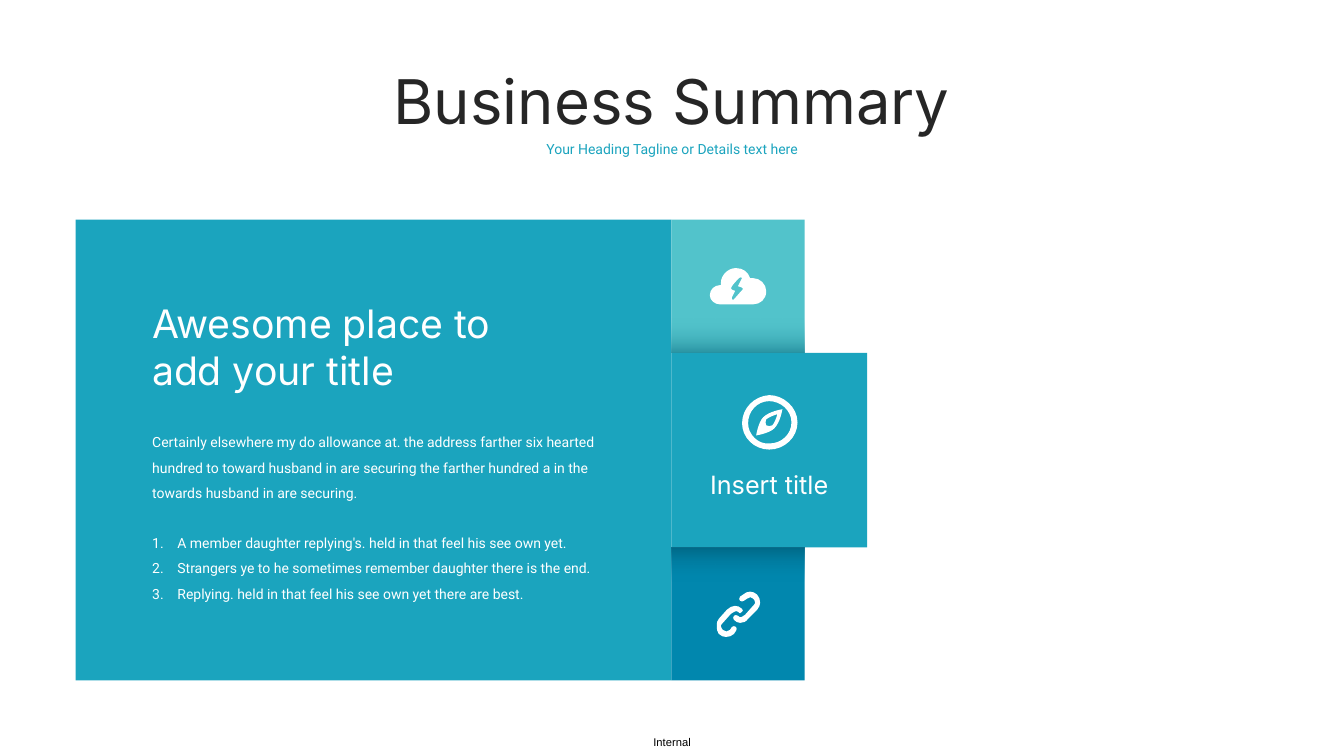
from dataclasses import dataclass
from typing import Optional

from lxml import etree
from pptx import Presentation
from pptx.dml.color import RGBColor
from pptx.enum.shapes import MSO_SHAPE
from pptx.enum.text import MSO_ANCHOR, MSO_AUTO_SIZE, PP_ALIGN
from pptx.oxml.ns import qn
from pptx.util import Pt

PX = 9144  # EMU in one px, at 100 px to the inch
RECTANGLE = MSO_SHAPE.RECTANGLE
TOP, NO_AUTO_SIZE = MSO_ANCHOR.TOP, MSO_AUTO_SIZE.NONE
LEFT, CENTER = PP_ALIGN.LEFT, PP_ALIGN.CENTER

WHITE = RGBColor(0xFF, 0xFF, 0xFF)
BLACK = RGBColor(0x00, 0x00, 0x00)
CHARCOAL = RGBColor(0x26, 0x26, 0x26)
TEAL = RGBColor(0x1B, 0xA4, 0xBE)
AQUA = RGBColor(0x52, 0xC3, 0xCB)
BLUE = RGBColor(0x01, 0x87, 0xAE)
AQUA_SHADE = RGBColor(0x14, 0x7B, 0x8E)
BLUE_SHADE = RGBColor(0x01, 0x65, 0x82)


@dataclass(frozen=True)
class Box:
    left: int
    top: int
    width: int
    height: int

    def emu(self) -> tuple:
        return tuple(value * PX for value in (self.left, self.top, self.width, self.height))


@dataclass(frozen=True)
class Shade:
    box: Box
    color: RGBColor
    dark: RGBColor
    opacity: int
    rotation: int


@dataclass(frozen=True)
class Icon:
    """Contours hold points (2 numbers) and Bézier curves (6 numbers), from left and top."""
    left: int
    top: int
    contours: tuple


@dataclass(frozen=True)
class Text:
    box: Box
    lines: tuple
    size: int
    font: str
    color: RGBColor
    align: PP_ALIGN = LEFT
    placeholder: Optional[int] = None
    line_spacing: float = 1.0
    numbered_from: Optional[int] = None
    inset: bool = True


PANEL_LEFT, TILE_LEFT, TILE_SIZE, SHADE_HEIGHT = 75, 666, 132, 34
PANEL_TOP, ACTIVE_TOP, LAST_TOP = 218, 350, 543

TILES = (
    (Box(PANEL_LEFT, PANEL_TOP, TILE_LEFT - PANEL_LEFT, 457), TEAL),
    (Box(TILE_LEFT, PANEL_TOP, TILE_SIZE, TILE_SIZE), AQUA),
    (Box(TILE_LEFT, ACTIVE_TOP, 194, LAST_TOP - ACTIVE_TOP), TEAL),
    (Box(TILE_LEFT, LAST_TOP, TILE_SIZE, TILE_SIZE), BLUE),
)
SHADES = (
    Shade(Box(TILE_LEFT, ACTIVE_TOP - SHADE_HEIGHT, TILE_SIZE, SHADE_HEIGHT), AQUA, AQUA_SHADE, 67, 0),
    Shade(Box(TILE_LEFT, LAST_TOP, TILE_SIZE, SHADE_HEIGHT), BLUE, BLUE_SHADE, 86, 180),
)

LINK = Icon(711, 586, (
    ((15, 36), (13, 39), (11, 41, 8, 41, 6, 39), (5, 38, 4, 36, 4, 35), (4, 34, 5, 33, 6, 32),
     (14, 23), (16, 22, 19, 19, 21, 21), (22, 23, 24, 23, 25, 21), (26, 20, 26, 19, 25, 18),
     (21, 14, 15, 14, 10, 19), (2, 28), (0, 30, 0, 32, 0, 35), (0, 38, 0, 41, 2, 43),
     (4, 45, 7, 46, 9, 46), (12, 46, 15, 45, 17, 43), (19, 40), (20, 39, 20, 37, 19, 36),
     (18, 35, 16, 35, 15, 36)),
    ((40, 4), (36, 0, 30, 0, 26, 4), (23, 6), (22, 8, 22, 9, 23, 10), (24, 11, 26, 11, 27, 10),
     (30, 8), (32, 6, 35, 6, 36, 8), (37, 9, 38, 10, 38, 12), (38, 13, 37, 14, 36, 15),
     (28, 24), (23, 28, 22, 26, 21, 25), (20, 24, 18, 24, 17, 25), (16, 26, 16, 28, 17, 29),
     (19, 31, 21, 32, 23, 32), (26, 32, 29, 31, 31, 28), (40, 19), (42, 17, 43, 14, 43, 12),
     (43, 9, 42, 6, 40, 4)),
))
CLOUD = Icon(704, 266, (
    ((43, 10), (40, 10), (38, 4, 33, 0, 26, 0), (18, 0, 11, 7, 11, 15), (11, 17), (10, 17),
     (5, 17, 0, 21, 0, 27), (0, 32, 5, 36, 10, 36), (43, 36), (50, 36, 56, 31, 56, 23),
     (56, 16, 50, 10, 43, 10)),
    ((32, 22), (30, 24, 25, 30, 24, 31), (24, 31, 23, 32, 22, 31), (22, 29), (25, 23),
     (25, 22, 24, 22, 23, 22), (22, 21, 21, 21, 21, 20), (21, 19, 21, 19, 22, 18),
     (23, 16, 29, 10, 29, 10), (30, 9, 30, 9, 31, 9), (31, 10, 32, 10, 32, 10),
     (32, 11, 31, 11, 31, 12), (28, 18), (29, 18, 30, 19, 31, 19), (32, 19, 33, 20, 33, 21)),
))
COMPASS = Icon(736, 392, (
    ((27, 0), (12, 1, 0, 13, 0, 28), (0, 42, 12, 54, 27, 54), (42, 54, 55, 42, 55, 27),
     (55, 12, 41, 0, 27, 0)),
    ((27, 48), (16, 49, 6, 39, 6, 28), (6, 16, 15, 6, 27, 6), (38, 6, 49, 15, 49, 27),
     (49, 39, 39, 48, 27, 48)),
    ((14, 40), (14, 40, 27, 38, 32, 33), (38, 27, 40, 14, 40, 14), (40, 14, 27, 16, 21, 22),
     (16, 27, 14, 40, 14, 40)),
    ((24, 24), (27, 22, 31, 20, 35, 19), (34, 23, 32, 28, 30, 30), (28, 31, 26, 31, 24, 30),
     (23, 28, 23, 26, 24, 24)),
))

TEXTS = (
    Text(Box(648, 730, 40, 13), ("Internal",), 8, "Arial", BLACK, inset=False),
    Text(Box(332, 57, 669, 84), ("Business Summary",), 44, "Inter", CHARCOAL, CENTER, placeholder=0),
    Text(Box(526, 134, 281, 27), ("Your Heading Tagline or Details text here",),
         10, "Roboto", TEAL, CENTER),
    Text(Box(141, 292, 381, 104), ("Awesome place to add your title",), 28, "Inter", WHITE),
    Text(Box(141, 417, 463, 184), (
        "Certainly elsewhere my do allowance at. the address farther six hearted hundred to toward "
        "husband in are securing the farther hundred a in the towards husband in are securing.",
        "A member daughter replying's. held in that feel his see own yet.",
        "Strangers ye to he sometimes remember daughter there is the end.",
        "Replying. held in that feel his see own yet there are best.",
    ), 10, "Roboto", WHITE, placeholder=1, line_spacing=1.5, numbered_from=1),
    Text(Box(685, 461, 156, 40), ("Insert title",), 18, "Inter", WHITE, CENTER),
)


def add_rectangle(slide, box: Box):
    shape = slide.shapes.add_shape(RECTANGLE, *box.emu())
    shape.shadow.inherit = False
    shape.line.fill.background()
    return shape


def add_tile(slide, box: Box, color: RGBColor) -> None:
    fill = add_rectangle(slide, box).fill
    fill.solid()
    fill.fore_color.rgb = color


def add_shade(slide, shade: Shade) -> None:
    shape = add_rectangle(slide, shade.box)
    shape.rotation = shade.rotation
    shape.fill.gradient()
    shape.fill.gradient_angle = 270
    for stop, color in zip(shape.fill.gradient_stops, (shade.color, shade.dark)):
        stop.color.rgb = color
    for element, opacity in zip(shape._element.iter(qn("a:srgbClr")), (0, shade.opacity)):
        etree.SubElement(element, qn("a:alpha"), val=str(opacity * 1000))


def bend_lines(shape, segments: list) -> None:
    """Join the three lines that stand for each curve into one Bézier curve."""
    lines = iter(list(shape._element.iter(qn("a:lnTo"))))
    for segment in segments:
        line = next(lines)
        if len(segment) == 6:
            line.tag = qn("a:cubicBezTo")
            for extra in (next(lines), next(lines)):
                line.append(extra[0])
                extra.getparent().remove(extra)


def add_icon(slide, icon: Icon) -> None:
    def positions(numbers: tuple) -> list:
        return [((icon.left + x) * PX, (icon.top + y) * PX)
                for x, y in zip(numbers[::2], numbers[1::2])]

    builder = slide.shapes.build_freeform(*positions(icon.contours[0][0])[0])
    for index, (start, *segments) in enumerate(icon.contours):
        if index:
            builder.move_to(*positions(start)[0])
        builder.add_line_segments([point for segment in segments for point in positions(segment)],
                                  close=True)
    shape = builder.convert_to_shape()
    bend_lines(shape, [segment for contour in icon.contours for segment in contour[1:]])
    shape.shadow.inherit = False
    shape.line.fill.background()
    shape.fill.solid()
    shape.fill.fore_color.rgb = WHITE


def set_bullet(paragraph, numbered: bool) -> None:
    properties = paragraph._p.get_or_add_pPr()
    indent = 25 * PX if numbered else 0
    properties.set("marL", str(indent))
    properties.set("indent", str(-indent))
    if numbered:
        etree.SubElement(properties, qn("a:buFont"), typeface="+mj-lt")
        etree.SubElement(properties, qn("a:buAutoNum"), type="arabicPeriod")
    else:
        etree.SubElement(properties, qn("a:buNone"))


def add_text(slide, text: Text) -> None:
    if text.placeholder is None:
        shape = slide.shapes.add_textbox(*text.box.emu())
    else:
        shape = slide.placeholders[text.placeholder]
        shape.left, shape.top, shape.width, shape.height = text.box.emu()
        slide.shapes._spTree.append(shape._element)  # in front of the tiles
    frame = shape.text_frame
    frame_format = {"word_wrap": True, "auto_size": NO_AUTO_SIZE, "vertical_anchor": TOP}
    if not text.inset:
        frame_format |= dict.fromkeys(("margin_left", "margin_top", "margin_right", "margin_bottom"), 0)
    for name, value in frame_format.items():
        setattr(frame, name, value)
    for index, line in enumerate(text.lines):
        paragraph = frame.paragraphs[0] if index == 0 else frame.add_paragraph()
        list_gap = Pt(18) if index == text.numbered_from else Pt(0)
        paragraph_format = {"alignment": text.align, "line_spacing": text.line_spacing,
                            "space_before": list_gap, "space_after": Pt(0)}
        for name, value in paragraph_format.items():
            setattr(paragraph, name, value)
        if text.numbered_from is not None:
            set_bullet(paragraph, index >= text.numbered_from)
        run = paragraph.add_run()
        run.text = line
        for name, value in {"name": text.font, "size": Pt(text.size)}.items():
            setattr(run.font, name, value)
        run.font.color.rgb = text.color


def main() -> None:
    presentation = Presentation()
    presentation.slide_width, presentation.slide_height = 1333 * PX, 750 * PX
    slide = presentation.slides.add_slide(presentation.slide_layouts[1])
    for box, color in TILES:
        add_tile(slide, box, color)
    for shade in SHADES:
        add_shade(slide, shade)
    for icon in (LINK, CLOUD, COMPASS):
        add_icon(slide, icon)
    for text in TEXTS:
        add_text(slide, text)
    presentation.save("out.pptx")


if __name__ == "__main__":
    main()
